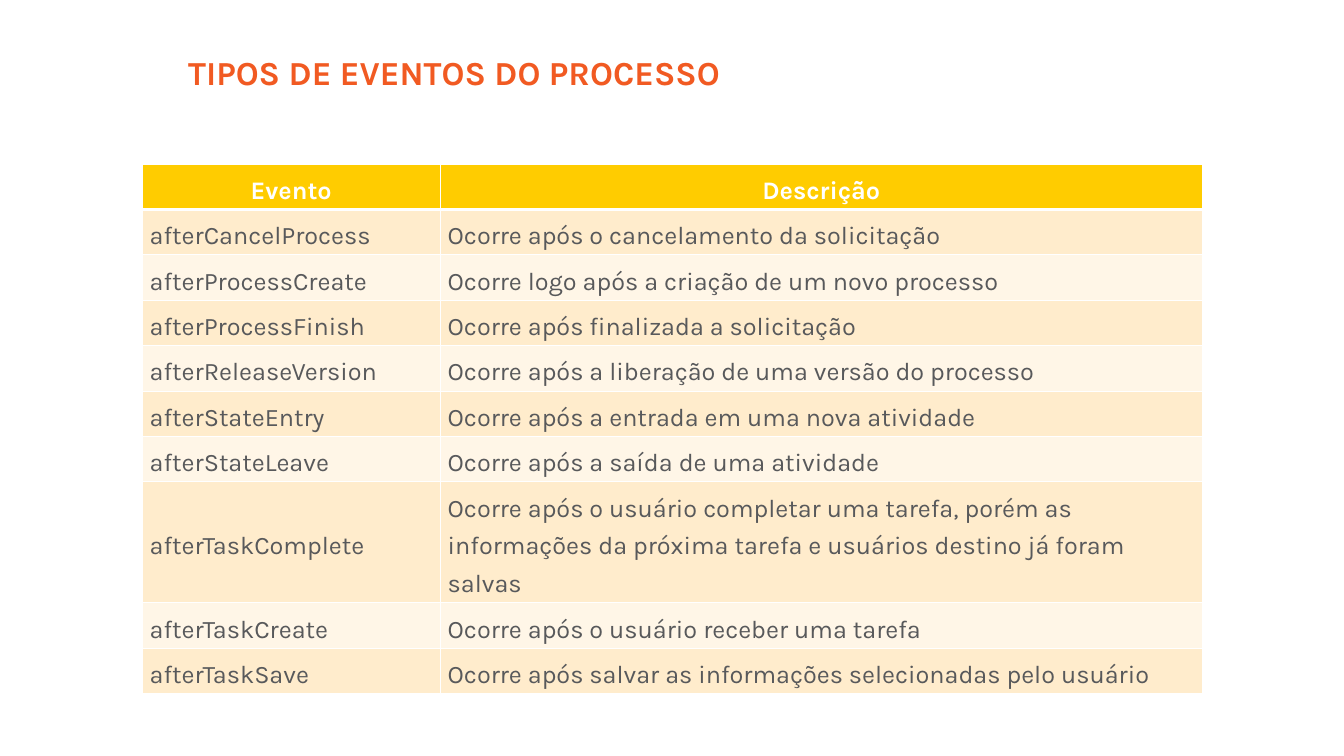
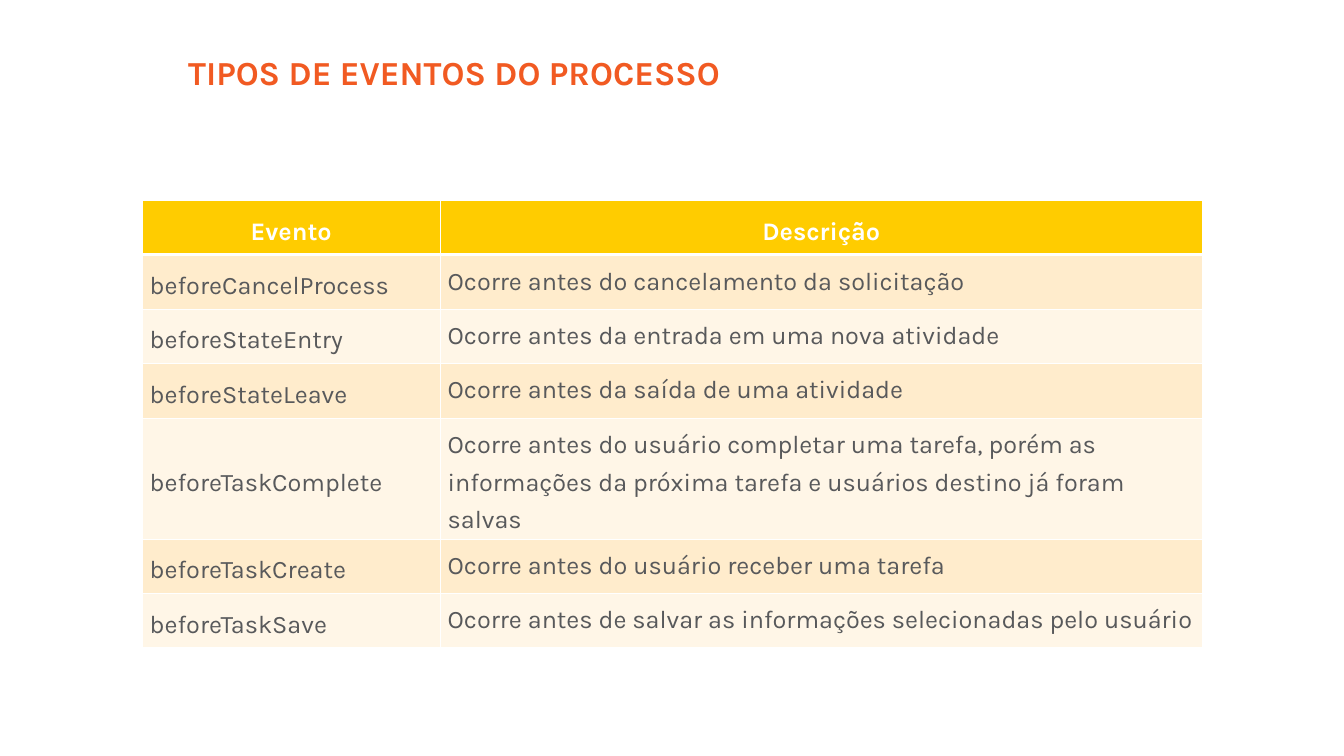
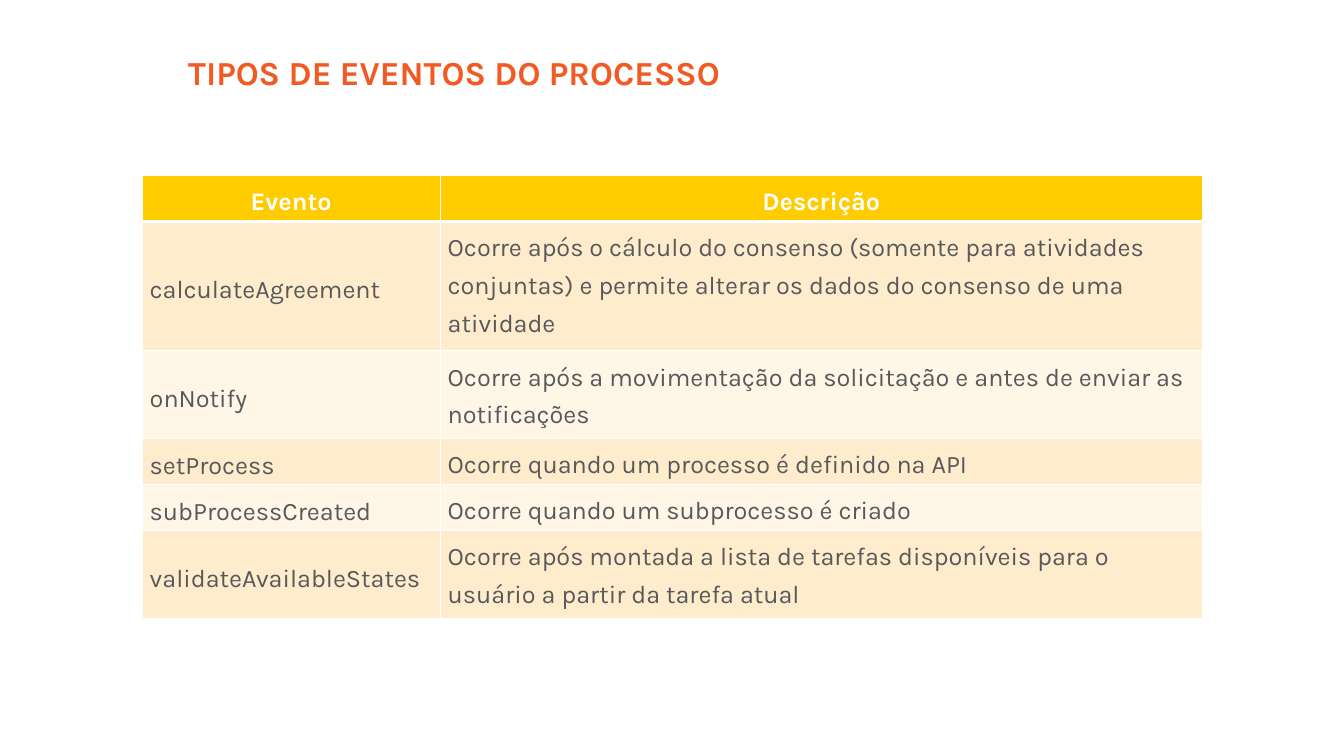
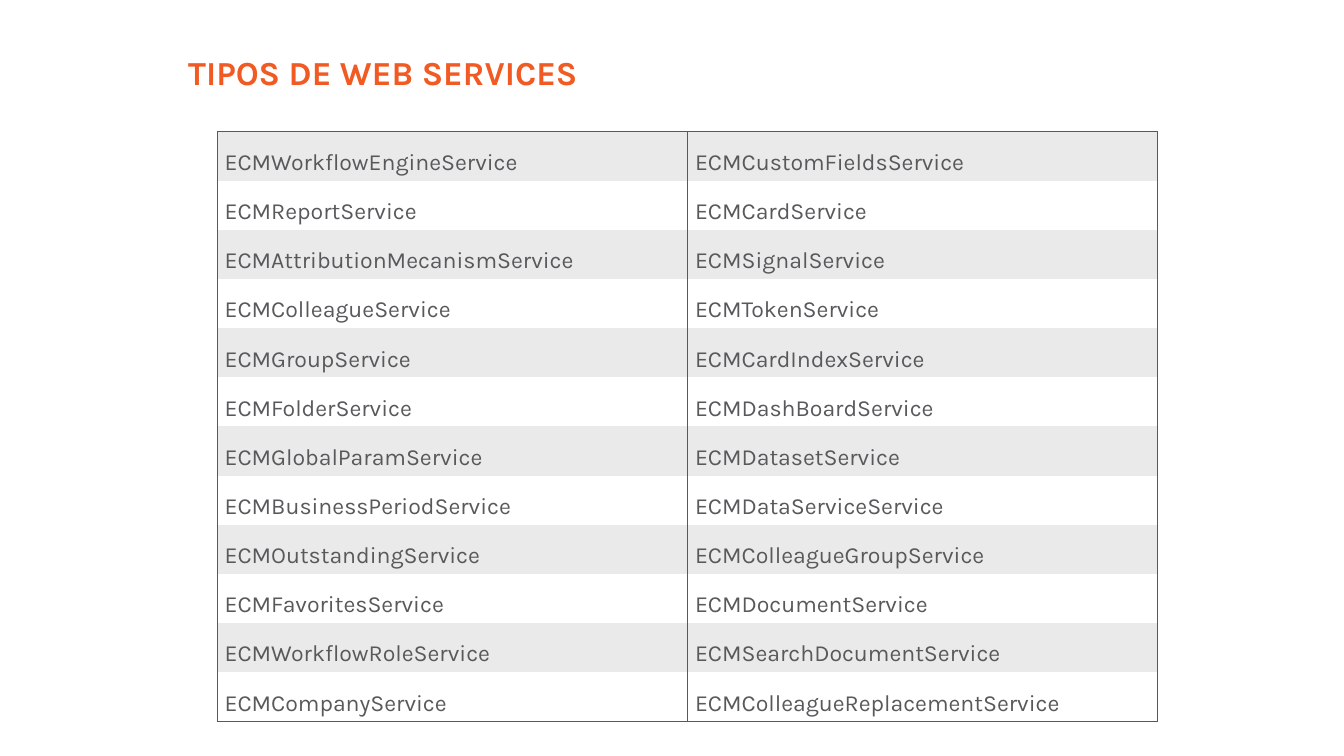
"""Build four slides of process event and web service tables."""
from pptx import Presentation
from pptx import util as u
from pptx.dml.color import RGBColor
from pptx.enum import text
from pptx.oxml import ns, parse_xml

PX = 9144
SLIDE = (1777, 1000)
TITLE_BOX = (239, 58, 952, 141)
FONT = "Karla"
ORANGE, YELLOW, WHITE, GRAY = "F15A22", "FFCC00", "FFFFFF", "58595B"
EVENT_BANDS = ("FFECCC", "FFF6E7")
SERVICE_BANDS = ("EAEAEA", WHITE)
NO_STYLE = "{2D5ABB26-0587-4C30-8999-92F81FD0307C}"
TOP, MIDDLE = text.MSO_ANCHOR.TOP, text.MSO_ANCHOR.MIDDLE
LEFT, CENTER = text.PP_ALIGN.LEFT, text.PP_ALIGN.CENTER

EVENT_TITLE = "TIPOS DE EVENTOS DO PROCESSO"
EVENT_HEADER = ("Evento", "Descrição")
EVENT_LEFT, EVENT_COLUMNS = 188, (394, 1008)
EVENT_SLIDES = [
    {
        "top": 217, "row": 59, "tall": {7: 109}, "header_anchor": MIDDLE,
        "events": [
            ("afterCancelProcess", "Ocorre após o cancelamento da solicitação"),
            ("afterProcessCreate", "Ocorre logo após a criação de um novo processo"),
            ("afterProcessFinish", "Ocorre após finalizada a solicitação"),
            ("afterReleaseVersion", "Ocorre após a liberação de uma versão do processo"),
            ("afterStateEntry", "Ocorre após a entrada em uma nova atividade"),
            ("afterStateLeave", "Ocorre após a saída de uma atividade"),
            ("afterTaskComplete", "Ocorre após o usuário completar uma tarefa, porém as "
             "informações da próxima tarefa e usuários destino já foram salvas"),
            ("afterTaskCreate", "Ocorre após o usuário receber uma tarefa"),
            ("afterTaskSave", "Ocorre após salvar as informações selecionadas pelo usuário"),
        ],
    },
    {
        "top": 265, "row": 72, "tall": {4: 133}, "header_anchor": MIDDLE,
        "events": [
            ("beforeCancelProcess", "Ocorre antes do cancelamento da solicitação"),
            ("beforeStateEntry", "Ocorre antes da entrada em uma nova atividade"),
            ("beforeStateLeave", "Ocorre antes da saída de uma atividade"),
            ("beforeTaskComplete", "Ocorre antes do usuário completar uma tarefa, porém as "
             "informações da próxima tarefa e usuários destino já foram salvas"),
            ("beforeTaskCreate", "Ocorre antes do usuário receber uma tarefa"),
            ("beforeTaskSave", "Ocorre antes de salvar as informações selecionadas pelo usuário"),
        ],
    },
    {
        "top": 232, "row": 61, "tall": {1: 171, 2: 116, 5: 116}, "header_anchor": TOP,
        "events": [
            ("calculateAgreement", "Ocorre após o cálculo do consenso (somente para atividades "
             "conjuntas) e permite alterar os dados do consenso de uma atividade"),
            ("onNotify", "Ocorre após a movimentação da solicitação e antes de enviar as "
             "notificações"),
            ("setProcess", "Ocorre quando um processo é definido na API"),
            ("subProcessCreated", "Ocorre quando um subprocesso é criado"),
            ("validateAvailableStates", "Ocorre após montada a lista de tarefas disponíveis para "
             "o usuário a partir da tarefa atual"),
        ],
    },
]

SERVICE_TITLE = "TIPOS DE WEB SERVICES"
SERVICE_LEFT, SERVICE_TOP, SERVICE_COLUMNS, SERVICE_ROW = 287, 174, (622, 622), 58
SERVICES = [
    ("ECMWorkflowEngineService", "ECMCustomFieldsService"),
    ("ECMReportService", "ECMCardService"),
    ("ECMAttributionMecanismService", "ECMSignalService"),
    ("ECMColleagueService", "ECMTokenService"),
    ("ECMGroupService", "ECMCardIndexService"),
    ("ECMFolderService", "ECMDashBoardService"),
    ("ECMGlobalParamService", "ECMDatasetService"),
    ("ECMBusinessPeriodService", "ECMDataServiceService"),
    ("ECMOutstandingService", "ECMColleagueGroupService"),
    ("ECMFavoritesService", "ECMDocumentService"),
    ("ECMWorkflowRoleService", "ECMSearchDocumentService"),
    ("ECMCompanyService", "ECMColleagueReplacementService"),
]


def px(*lengths):
    return [u.Emu(length * PX) for length in lengths]


def color(value):
    return RGBColor.from_string(value)


def write(frame, words, size, ink, bold=False, spacing=1.0, align=LEFT):
    frame.text = words
    paragraph = frame.paragraphs[0]
    paragraph.line_spacing = spacing
    paragraph.alignment = align
    font = paragraph.runs[0].font
    font.name, font.size, font.bold = FONT, u.Pt(size), bold
    font.color.rgb = color(ink)


def add_titled_slide(deck, title):
    slide = deck.slides.add_slide(deck.slide_layouts[6])
    frame = slide.shapes.add_textbox(*px(*TITLE_BOX)).text_frame
    frame.word_wrap = True
    write(frame, title, 32, ORANGE, bold=True, spacing=1.1)
    return slide


def add_grid(slide, left, top, columns, rows):
    box = px(left, top, sum(columns), sum(rows))
    grid = slide.shapes.add_table(len(rows), len(columns), *box).table
    grid.first_row = grid.horz_banding = False
    grid._tbl.tblPr.find(ns.qn("a:tableStyleId")).text = NO_STYLE
    for column, width in zip(grid.columns, px(*columns)):
        column.width = width
    for row, height in zip(grid.rows, px(*rows)):
        row.height = height
    return grid


def paint(cell, fill, line, edges):
    properties = cell._tc.get_or_add_tcPr()
    for edge in "LRTB":
        if edge in edges:
            properties.append(parse_xml(
                f'<a:ln{edge} {ns.nsdecls("a")} w="{u.Pt(edges[edge])}"><a:solidFill>'
                f'<a:srgbClr val="{line}"/></a:solidFill></a:ln{edge}>'))
    cell.fill.solid()
    cell.fill.fore_color.rgb = color(fill)


def add_event_slide(deck, group):
    slide = add_titled_slide(deck, EVENT_TITLE)
    entries = [EVENT_HEADER] + group["events"]
    heights = [group["tall"].get(i, group["row"]) for i in range(len(entries))]
    grid = add_grid(slide, EVENT_LEFT, group["top"], EVENT_COLUMNS, heights)
    for i, entry in enumerate(entries):
        for j, words in enumerate(entry):
            cell = grid.cell(i, j)
            if i == 0:
                paint(cell, YELLOW, WHITE, {"L": 1, "R": 1, "T": 1, "B": 3})
                cell.vertical_anchor = group["header_anchor"]
                write(cell.text_frame, words, 24, WHITE, True, u.Pt(36), CENTER)
            else:
                paint(cell, EVENT_BANDS[(i - 1) % 2], WHITE, {"L": 1, "R": 1, "B": 1})
                cell.vertical_anchor = (MIDDLE, TOP)[j]
                write(cell.text_frame, words, 24, GRAY, spacing=u.Pt(36))


def add_service_slide(deck):
    slide = add_titled_slide(deck, SERVICE_TITLE)
    heights = [SERVICE_ROW] * len(SERVICES)
    grid = add_grid(slide, SERVICE_LEFT, SERVICE_TOP, SERVICE_COLUMNS, heights)
    for i, pair in enumerate(SERVICES):
        edges = {"L": 1, "R": 1}
        if i == 0:
            edges["T"] = 1
        if i == len(SERVICES) - 1:
            edges["B"] = 1
        for j, service in enumerate(pair):
            cell = grid.cell(i, j)
            paint(cell, SERVICE_BANDS[i % 2], GRAY, edges)
            cell.vertical_anchor = MIDDLE
            write(cell.text_frame, service, 22, GRAY, spacing=1.5)


def main():
    deck = Presentation()
    deck.slide_width, deck.slide_height = px(*SLIDE)
    for group in EVENT_SLIDES:
        add_event_slide(deck, group)
    add_service_slide(deck)
    deck.save("out.pptx")


if __name__ == "__main__":
    main()
